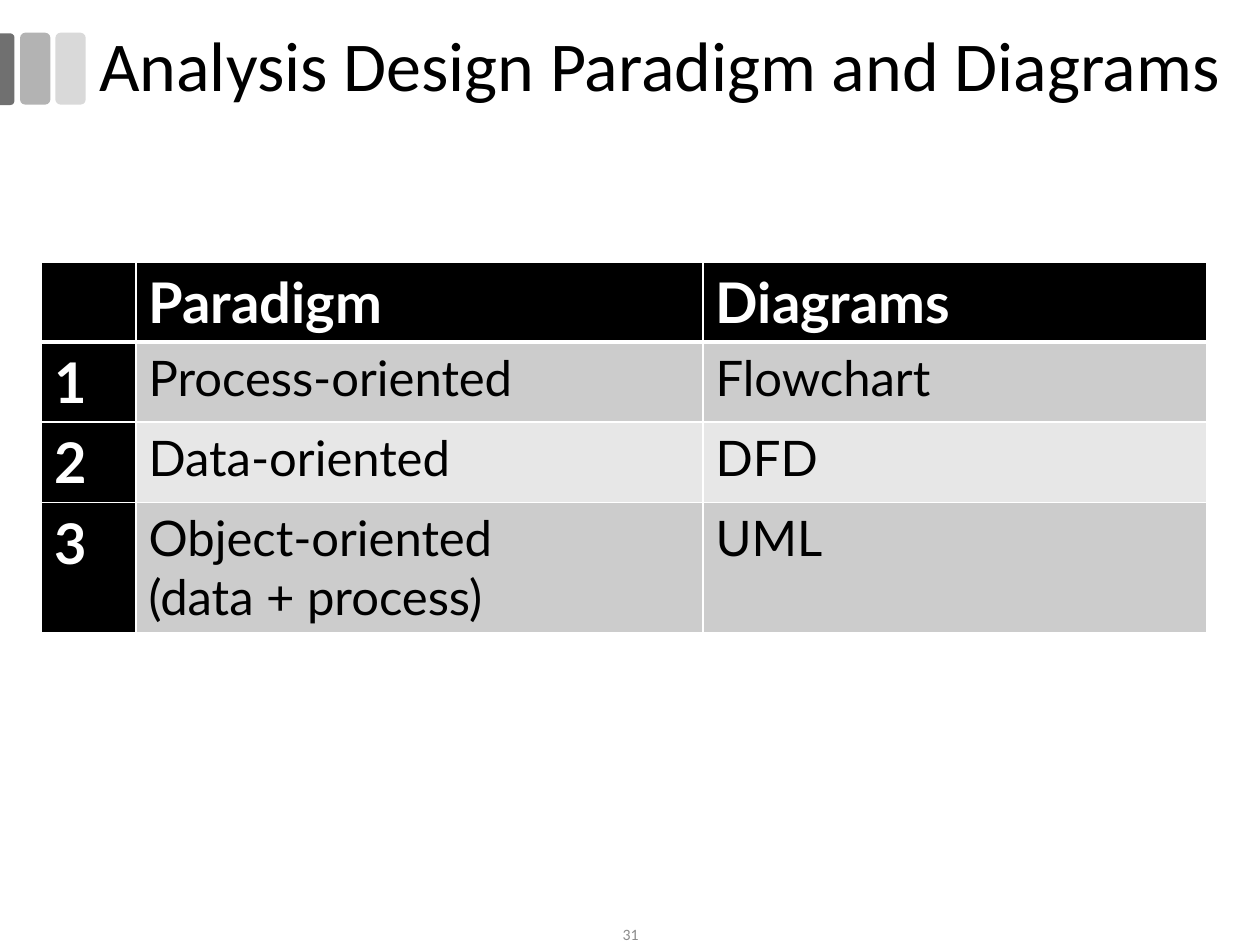
from typing import NamedTuple

from lxml.etree import SubElement
from pptx import Presentation
from pptx.dml.color import RGBColor
from pptx.enum.shapes import MSO_SHAPE
from pptx.enum.text import MSO_ANCHOR, PP_ALIGN
from pptx.oxml.ns import qn
from pptx.util import Inches, Pt

BLACK = RGBColor(0x00, 0x00, 0x00)
WHITE = RGBColor(0xFF, 0xFF, 0xFF)
DARK = RGBColor(0x70, 0x70, 0x70)
MID = RGBColor(0xB3, 0xB3, 0xB3)
PALE = RGBColor(0xD9, 0xD9, 0xD9)
ODD = RGBColor(0xCC, 0xCC, 0xCC)
EVEN = RGBColor(0xE7, 0xE7, 0xE7)
GRAY = RGBColor(0x8C, 0x8C, 0x8C)

WIDE, HIGH = Inches(10), Inches(7.5)

HEAD = {"name": "Lato", "size": Pt(32), "bold": True, "color": WHITE}
BODY = {"name": "Lato", "size": Pt(28), "bold": False, "color": BLACK}
TITLE = {"name": "Calibri", "size": Pt(40), "color": BLACK}
FOOT = {"name": "Calibri", "size": Pt(9), "color": GRAY}

COLS = (7.5, 45, 40)
ROWS = (8.4, 8.4, 8.4, 13.73)
DATA = (
    ("", "Paradigm", "Diagrams"),
    ("1", "Process-oriented", "Flowchart"),
    ("2", "Data-oriented", "DFD"),
    ("3", "Object-oriented\n(data + process)", "UML"),
)


class Box(NamedTuple):
    left: float
    top: float
    width: float
    height: float


class Bar(NamedTuple):
    box: Box
    kind: MSO_SHAPE
    color: RGBColor
    turn: int = 0
    bends: tuple = ()


class Label(NamedTuple):
    box: Box
    text: str
    font: dict
    para: dict
    frame: dict


BARS = (
    Bar(Box(4.4, 3.47, 2.4, 7.6), MSO_SHAPE.ROUNDED_RECTANGLE, PALE),
    Bar(Box(1.6, 3.47, 2.4, 7.6), MSO_SHAPE.ROUNDED_RECTANGLE, MID),
    Bar(Box(-2.3, 6.53, 5.7, 1.6), MSO_SHAPE.ROUND_2_SAME_RECTANGLE,
        DARK, 90, (0.29, 0)),
)
LABELS = (
    Label(Box(6.9, 2.27, 93, 10), "Analysis Design Paradigm and Diagrams",
          TITLE, {"line_spacing": 0.9}, {}),
    Label(Box(38.8, 97.73, 22.5, 2.27), "31", FOOT,
          {"alignment": PP_ALIGN.CENTER},
          {"margin_top": 0, "margin_bottom": 0}),
)


def wide(share: float) -> int:
    return int(WIDE * share / 100)


def high(share: float) -> int:
    return int(HIGH * share / 100)


def place(box: Box) -> tuple:
    return wide(box.left), high(box.top), wide(box.width), high(box.height)


def apply(item, form: dict) -> None:
    for key, value in form.items():
        if key == "color":
            item.color.rgb = value
        else:
            setattr(item, key, value)


def write(para, text: str, form: dict) -> None:
    para.text = text
    for run in para.runs:
        apply(run.font, form)


def draw_bar(slide, bar: Bar) -> None:
    shape = slide.shapes.add_shape(bar.kind, *place(bar.box))
    shape.shadow.inherit = False
    shape.rotation = bar.turn
    shape.fill.solid()
    shape.fill.fore_color.rgb = bar.color
    shape.line.fill.background()
    for spot, bend in enumerate(bar.bends):
        shape.adjustments[spot] = bend


def draw_label(slide, label: Label) -> None:
    frame = slide.shapes.add_textbox(*place(label.box)).text_frame
    apply(frame, {"word_wrap": True, "vertical_anchor": MSO_ANCHOR.MIDDLE,
                  **label.frame})
    para = frame.paragraphs[0]
    write(para, label.text, label.font)
    apply(para, label.para)


def edge(cell, sides: dict) -> None:
    props = cell._tc.get_or_add_tcPr()
    for side, width in sides.items():
        line = SubElement(props, qn(f"a:ln{side}"), w=str(Pt(width)))
        fill = SubElement(line, qn("a:solidFill"))
        SubElement(fill, qn("a:srgbClr"), val=str(WHITE))


def draw_cell(cell, row: int, col: int) -> None:
    dark = row == 0 or col == 0
    edge(cell, {"L": 1, "R": 1, "T": 3 if row == 1 else 1,
                "B": 3 if row == 0 else 1})
    cell.fill.solid()
    cell.fill.fore_color.rgb = BLACK if dark else ODD if row % 2 else EVEN
    para = cell.text_frame.paragraphs[0]
    write(para, DATA[row][col], HEAD if dark else BODY)
    para.alignment = PP_ALIGN.LEFT


def draw_table(slide) -> None:
    box = Box(3.3, 27.73, sum(COLS), sum(ROWS))
    table = slide.shapes.add_table(len(ROWS), len(COLS), *place(box)).table
    for col, share in enumerate(COLS):
        table.columns[col].width = wide(share)
    for row, share in enumerate(ROWS):
        table.rows[row].height = high(share)
        for col in range(len(COLS)):
            draw_cell(table.cell(row, col), row, col)


def main() -> None:
    deck = Presentation()
    deck.slide_width, deck.slide_height = WIDE, HIGH
    slide = deck.slides.add_slide(deck.slide_layouts[6])
    for bar in BARS:
        draw_bar(slide, bar)
    draw_table(slide)
    for label in LABELS:
        draw_label(slide, label)
    deck.save("out.pptx")


if __name__ == "__main__":
    main()
